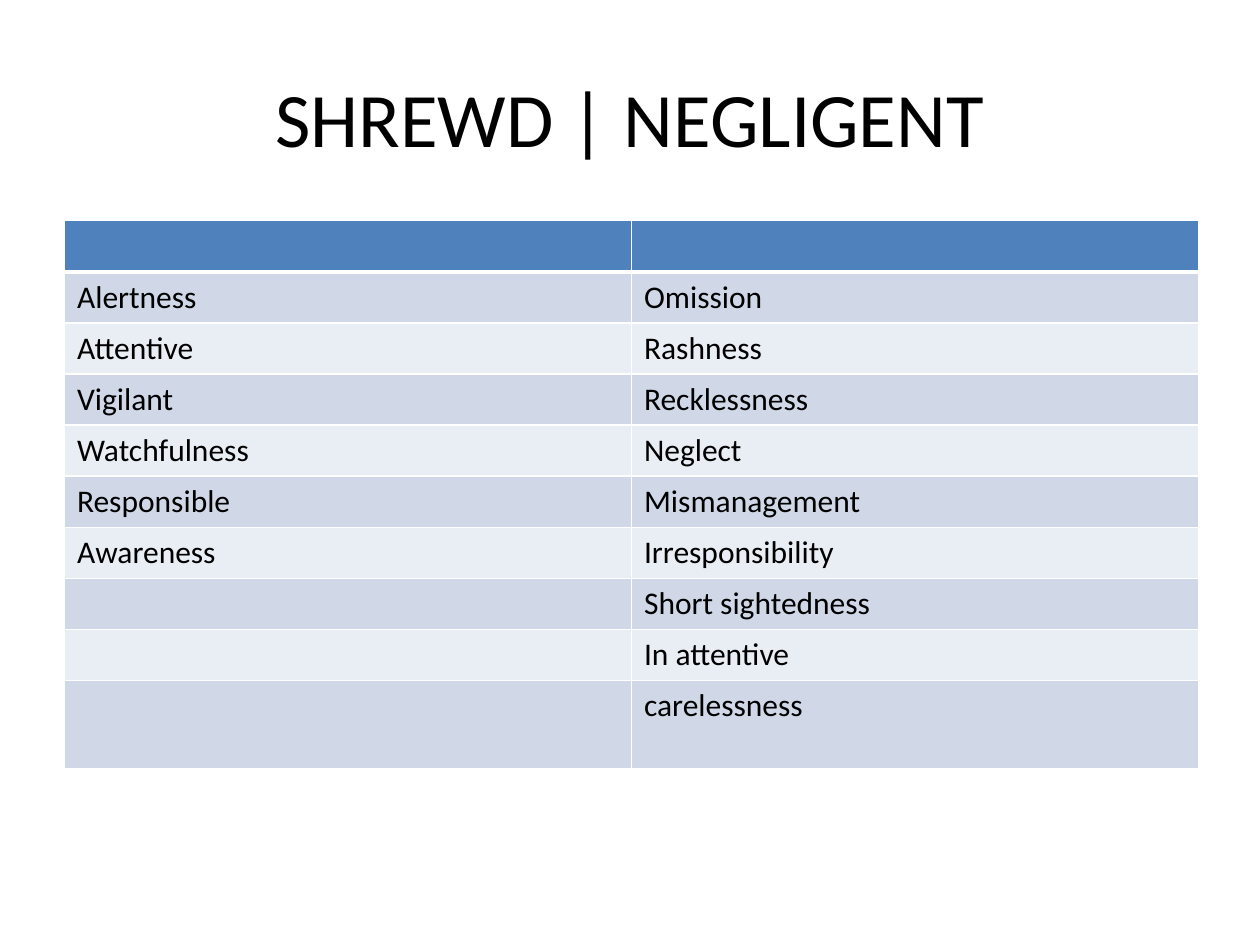
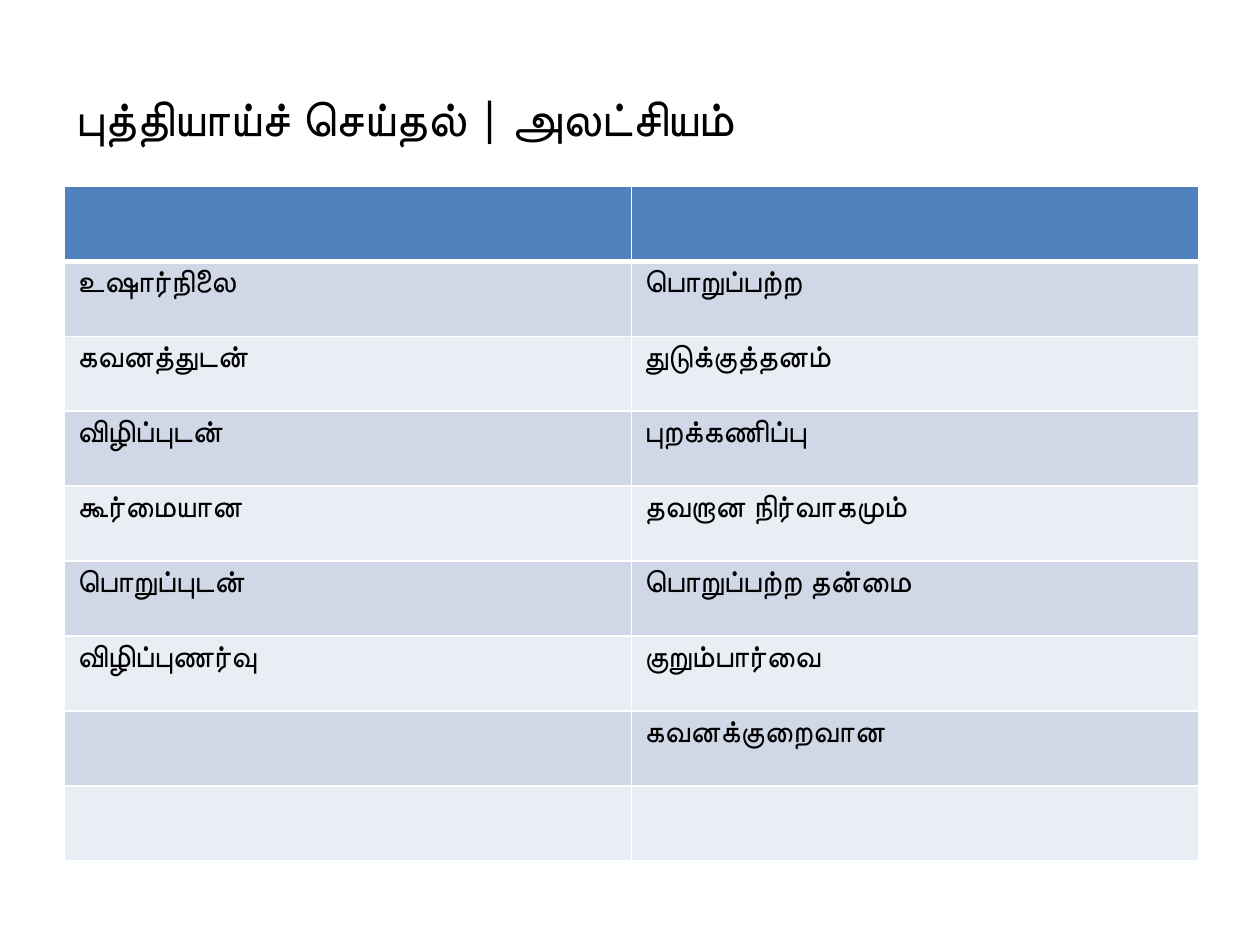
from itertools import zip_longest

from lxml.etree import SubElement
from pptx import Presentation
from pptx.dml.color import RGBColor
from pptx.enum.text import MSO_ANCHOR, PP_ALIGN
from pptx.oxml.ns import qn
from pptx.util import Cm, Pt

BLACK = RGBColor(0x00, 0x00, 0x00)
WHITE = RGBColor(0xFF, 0xFF, 0xFF)
HEADER_BLUE = RGBColor(0x4F, 0x81, 0xBD)
BANDS = (RGBColor(0xE9, 0xED, 0xF4), RGBColor(0xD0, 0xD8, 0xE8))
FONT = "Calibri"
TABLE_LEFT = 1.3
COLUMN_WIDTH = 11.43

# Lengths are in centimetres.
WORD_SLIDES = [
    {
        "title": "SHREWD | NEGLIGENT",
        "title_size": 44,
        "title_align": PP_ALIGN.CENTER,
        "table_top": 4.45,
        "row_height": 1.03,
        "last_row_height": 1.78,
        "columns": (
            ["Alertness", "Attentive", "Vigilant", "Watchfulness",
             "Responsible", "Awareness"],
            ["Omission", "Rashness", "Recklessness", "Neglect",
             "Mismanagement", "Irresponsibility", "Short sightedness",
             "In attentive", "carelessness"],
        ),
    },
    {
        "title": "புத்தியாய்ச் செய்தல் | அலட்சியம்",
        "title_size": 28,
        "title_align": PP_ALIGN.LEFT,
        "table_top": 3.76,
        "row_height": 1.51,
        "last_row_height": 1.51,
        "columns": (
            ["உஷார்நிலை", "கவனத்துடன்", "விழிப்புடன்", "கூர்மையான",
             "பொறுப்புடன்", "விழிப்புணர்வு"],
            ["பொறுப்பற்ற", "துடுக்குத்தனம்", "புறக்கணிப்பு",
             "தவறான நிர்வாகமும்", "பொறுப்பற்ற தன்மை", "குறும்பார்வை",
             "கவனக்குறைவான", ""],
        ),
    },
]


def add_title(slide, content):
    title = slide.shapes.title
    title.left, title.top = Cm(1.27), Cm(0.76)
    title.width, title.height = Cm(22.86), Cm(3.18)
    title.text_frame.vertical_anchor = MSO_ANCHOR.MIDDLE
    paragraph = title.text_frame.paragraphs[0]
    paragraph.alignment = content["title_align"]
    run = paragraph.add_run()
    run.text = content["title"]
    run.font.name = FONT
    run.font.size = Pt(content["title_size"])
    run.font.color.rgb = BLACK


def set_borders(cell, widths):
    """Draw white cell edges; widths maps a line tag to points."""
    properties = cell._tc.get_or_add_tcPr()
    for tag, width in widths.items():
        line = SubElement(properties, qn(f"a:{tag}"), w=str(Pt(width)))
        fill = SubElement(line, qn("a:solidFill"))
        SubElement(fill, qn("a:srgbClr"), val=str(WHITE))


def style_cell(cell, row_index):
    is_header = row_index == 0
    set_borders(cell, {"lnL": 1, "lnR": 1,
                       "lnT": 3 if row_index == 1 else 1,
                       "lnB": 3 if is_header else 1})
    cell.fill.solid()
    cell.fill.fore_color.rgb = HEADER_BLUE if is_header else BANDS[row_index % 2]
    font = cell.text_frame.paragraphs[0].font
    font.name = FONT
    font.size = Pt(18)
    font.color.rgb = BLACK


def add_word_table(slide, content):
    rows = [("", ""), *zip_longest(*content["columns"], fillvalue="")]
    heights = [content["row_height"]] * (len(rows) - 1) + [content["last_row_height"]]
    table = slide.shapes.add_table(
        len(rows), 2, Cm(TABLE_LEFT), Cm(content["table_top"]),
        Cm(2 * COLUMN_WIDTH), Cm(sum(heights))).table
    for row_index, (words, height) in enumerate(zip(rows, heights)):
        table.rows[row_index].height = Cm(height)
        for column_index, word in enumerate(words):
            cell = table.cell(row_index, column_index)
            cell.text = word
            style_cell(cell, row_index)


def main():
    presentation = Presentation()
    presentation.slide_width, presentation.slide_height = Cm(25.4), Cm(19.05)
    title_only = presentation.slide_layouts.get_by_name("Title Only")
    for content in WORD_SLIDES:
        slide = presentation.slides.add_slide(title_only)
        add_title(slide, content)
        add_word_table(slide, content)
    presentation.save("out.pptx")


if __name__ == "__main__":
    main()
